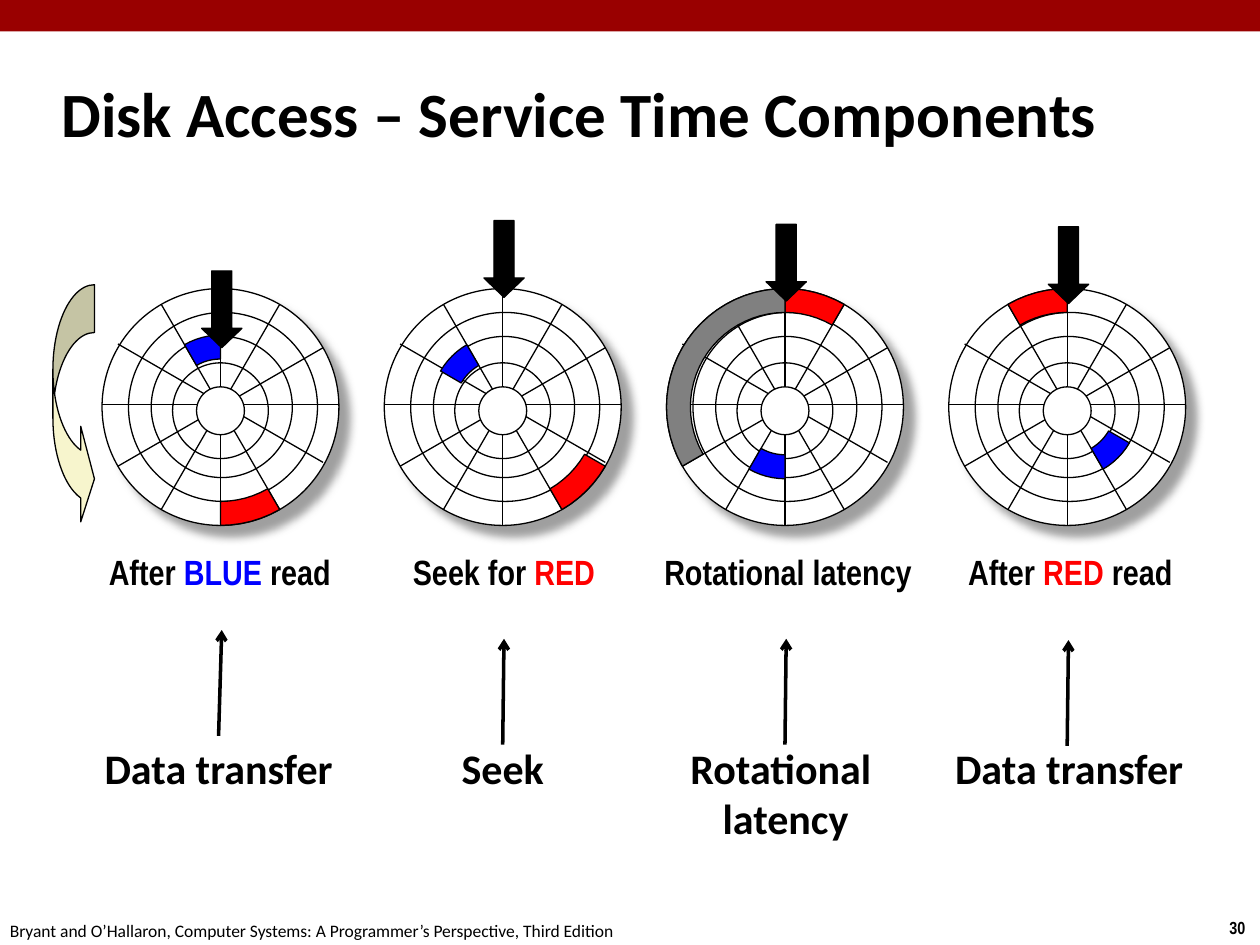
from math import cos, radians, sin

from lxml.etree import SubElement
from pptx import Presentation
from pptx.dml.color import RGBColor
from pptx.enum.shapes import MSO_CONNECTOR, MSO_SHAPE
from pptx.enum.text import MSO_ANCHOR, MSO_AUTO_SIZE, PP_ALIGN
from pptx.oxml.ns import qn
from pptx.util import Inches, Pt

BLACK = RGBColor(0, 0, 0)
WHITE = RGBColor(255, 255, 255)
RED = RGBColor(255, 0, 0)
BLUE = RGBColor(0, 0, 255)
GRAY = RGBColor(0x80, 0x80, 0x80)
CREAM = RGBColor(0xF7, 0xF5, 0xCD)
CRIMSON = RGBColor(0x99, 0, 0)

FIRST_X, PITCH, CENTER_Y = 1.75, 2.24, 3.23
RADIUS = 0.94
TRACKS = [(RADIUS, 0, 0), (0.75, 0.02, 0), (0.56, 0.01, 0), (0.38, 0, 0.03)]
HUB = (0.19, 0, 0.03)
SPOKE_SHIFTS = [0, 0, 0, -0.02, -0.03, 0]
OUTER, INNER = (0.75, 0.94), (0.38, 0.57)
LABEL_TOP = 5.84

STAGES = [
    {"head": 2.15, "sectors": [(BLUE, INNER, 330, 360), (RED, OUTER, 150, 180)],
     "caption": [("After ", BLACK), ("BLUE ", BLUE), ("read", BLACK)],
     "caption_area": (0.58, 2.33), "label": ["Data transfer"],
     "label_area": (0.72, 2.03, 0.5), "pointer": 5},
    {"head": 1.75, "sectors": [(RED, OUTER, 120, 150), (BLUE, INNER, 300, 330)],
     "caption": [("Seek for ", BLACK), ("RED", RED)],
     "caption_area": (3, 2), "label": ["Seek"],
     "label_area": (3.56, 0.86, 0.5), "pointer": 5.07},
    {"head": 1.78, "sectors": [(RED, OUTER, 0, 30), (BLUE, INNER, 180, 210),
                               (GRAY, OUTER, 240, 360)],
     "caption": [("Rotational latency", BLACK)],
     "caption_area": (4.92, 2.67), "label": ["Rotational ", "latency"],
     "label_area": (5.33, 1.81, 0.91), "pointer": 5.07},
    {"head": 1.8, "sectors": [(RED, OUTER, 330, 360), (BLUE, INNER, 120, 150)],
     "caption": [("After ", BLACK), ("RED", RED), (" read", BLACK)],
     "caption_area": (7.33, 2.33), "label": ["Data transfer"],
     "label_area": (7.47, 2.03, 0.5), "pointer": 5.08},
]


def polar(x, y, radius, angle):
    """Return the point at a clockwise angle from twelve o'clock."""
    return (x + radius * sin(radians(angle)), y - radius * cos(radians(angle)))


def paint(shape, fill, line=BLACK):
    """Give a shape a flat fill and a thin outline, or none."""
    shape.shadow.inherit = False
    shape.fill.solid()
    shape.fill.fore_color.rgb = fill
    if line is None:
        shape.line.fill.background()
    else:
        shape.line.color.rgb = line
        shape.line.width = Pt(0.75)


def add_preset(parent, kind, area, fill, line=BLACK, adjustments=()):
    """Add a painted preset shape."""
    shape = parent.shapes.add_shape(kind, *map(Inches, area))
    for index, value in enumerate(adjustments):
        shape.adjustments[index] = value
    paint(shape, fill, line)
    return shape


def add_line(parent, start, end, width=0.75, arrow=False):
    """Add a straight black line, optionally with an arrowhead at its end."""
    line = parent.shapes.add_connector(
        MSO_CONNECTOR.STRAIGHT, *map(Inches, (*start, *end)))
    line.line.color.rgb = BLACK
    line.line.width = Pt(width)
    properties = line._element.spPr
    if arrow:
        SubElement(properties.find(qn("a:ln")), qn("a:tailEnd"), type="arrow")
    SubElement(properties, qn("a:effectLst"))
    return line


def add_shadow(shape):
    """Cast a soft gray shadow down and to the right."""
    effects = shape._element.spPr.find(qn("a:effectLst"))
    shadow = SubElement(effects, qn("a:outerShdw"), blurRad=str(Pt(5)),
                        dist=str(Pt(8.5)), dir="2700000", algn="ctr",
                        rotWithShape="0")
    color = SubElement(shadow, qn("a:srgbClr"), val=str(GRAY))
    SubElement(color, qn("a:alpha"), val="75000")


def add_sector(parent, x, fill, radii, first, last):
    """Add a ring segment between two radii and two angles."""
    inner, outer = radii
    angles = range(first, last + 1, 5)
    points = [polar(x, CENTER_Y, outer, angle) for angle in angles]
    points += [polar(x, CENTER_Y, inner, angle) for angle in reversed(angles)]
    corners = [tuple(map(Inches, point)) for point in points]
    builder = parent.shapes.build_freeform(*corners[0])
    builder.add_line_segments(corners[1:], close=True)
    paint(builder.convert_to_shape(), fill)


def add_text(page, area, lines, size=10, name="Calibri", bold=False,
             align=PP_ALIGN.LEFT, wrap=False):
    """Add a text box whose lines are lists of (text, color) spans."""
    box = page.shapes.add_textbox(*map(Inches, area))
    frame = box.text_frame
    frame.word_wrap = wrap
    frame.auto_size = MSO_AUTO_SIZE.SHAPE_TO_FIT_TEXT
    for index, spans in enumerate(lines):
        para = frame.add_paragraph() if index else frame.paragraphs[0]
        para.alignment = align
        for text, color in spans:
            span = para.add_run()
            span.text = text
            style_font(span.font, size, name, bold, color)
    return box


def style_font(font, size, name, bold, color=BLACK):
    """Set the size, face, weight and color of a font."""
    font.size, font.name, font.bold = Pt(size), name, bold
    font.color.rgb = color


def set_title(page, text):
    """Place and format the title."""
    title = page.shapes.title
    title.left, title.top = Inches(0.39), Inches(0.48)
    title.width, title.height = Inches(8.85), Inches(0.83)
    title.text_frame.text = text
    title.text_frame.vertical_anchor = MSO_ANCHOR.MIDDLE
    para = title.text_frame.paragraphs[0]
    para.alignment = PP_ALIGN.LEFT
    properties = para._p.get_or_add_pPr()
    properties.set("marL", str(Inches(0.13)))
    properties.set("indent", str(Inches(-0.13)))
    style_font(para.runs[0].font, 36, "Calibri", True)


def add_disk(page, x, stage):
    """Add one disk with its tracks, spokes, sectors and head."""
    disk = page.shapes.add_group_shape()
    circles = [add_circle(disk, x, *track) for track in TRACKS]
    add_shadow(circles[0])
    for index, shift in enumerate(SPOKE_SHIFTS):
        ends = [polar(x, CENTER_Y + shift, RADIUS, 30 * index + turn)
                for turn in (0, 180)]
        add_line(disk, *ends)
    add_circle(disk, x, *HUB)
    for sector in stage["sectors"]:
        add_sector(disk, x, *sector)
    add_preset(disk, MSO_SHAPE.DOWN_ARROW, (x - 0.15, stage["head"], 0.32, 0.61),
               BLACK, adjustments=(0.5, 0.48))


def add_circle(parent, x, radius, right, down):
    """Add a white circle shifted from the center of a disk."""
    area = (x + right - radius, CENTER_Y + down - radius, 2 * radius, 2 * radius)
    return add_preset(parent, MSO_SHAPE.OVAL, area, WHITE)


def add_stage(page, x, stage):
    """Add a disk with its caption, label and pointer."""
    left, width = stage["caption_area"]
    add_text(page, (left, 4.32, width, 0.43), [stage["caption"]], size=20,
             name="Arial Narrow", bold=True, align=PP_ALIGN.CENTER, wrap=True)
    add_disk(page, x, stage)
    left, width, height = stage["label_area"]
    lines = [[(text, BLACK)] for text in stage["label"]]
    label = add_text(page, (left, LABEL_TOP, width, height), lines, size=24,
                     bold=True, align=PP_ALIGN.CENTER, wrap=len(lines) > 1)
    top = stage["pointer"]
    bottom = round(top + 0.84, 2)
    pointer = add_line(page, (x, bottom), (x + 0.01, top), width=2, arrow=True)
    if bottom == LABEL_TOP:
        pointer.begin_connect(label, 0)


def main():
    """Build the slide and save it."""
    deck = Presentation()
    deck.slide_width, deck.slide_height = Inches(10), Inches(7.5)
    page = deck.slides.add_slide(deck.slide_layouts[5])
    add_preset(page, MSO_SHAPE.RECTANGLE, (0, 0, 10, 0.25), CRIMSON, line=None)
    add_text(page, (9.66, 7.23, 0.34, 0.27), [[("30", BLACK)]],
             name="Arial Narrow", bold=True)
    add_text(page, (-0.02, 7.25, 5.08, 0.27),
             [[("Bryant and O’Hallaron, Computer Systems: "
                "A Programmer’s Perspective, Third Edition", BLACK)]])
    set_title(page, "Disk Access – Service Time Components")
    for index, stage in enumerate(STAGES):
        add_stage(page, FIRST_X + PITCH * index, stage)
    add_preset(page, MSO_SHAPE.CURVED_RIGHT_ARROW, (0.42, 2.26, 0.33, 1.92),
               CREAM, adjustments=(1.15, 2.3, 0.33))
    deck.save("out.pptx")


if __name__ == "__main__":
    main()
